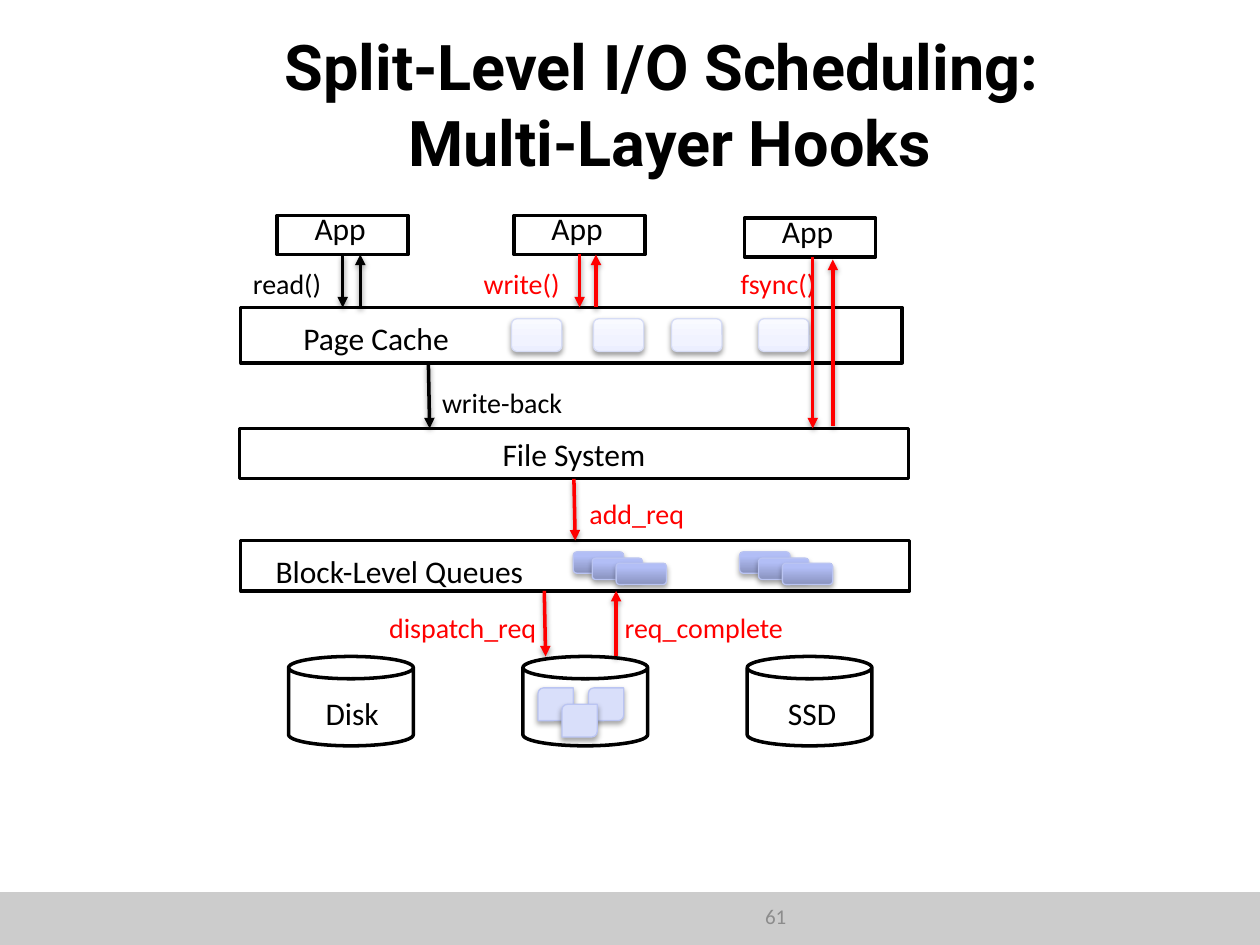
from pptx import Presentation
from pptx.dml.color import RGBColor
from pptx.enum.shapes import MSO_CONNECTOR, MSO_SHAPE
from pptx.enum.text import MSO_ANCHOR, MSO_AUTO_SIZE, PP_ALIGN
from pptx.oxml import parse_xml
from pptx.oxml.ns import nsdecls, qn
from pptx.util import Inches, Pt

BLACK, WHITE, RED = "000000", "FFFFFF", "FF0000"
BOTTOM, TOP = 2, 0
PAGE_GRADIENT = [(0, "ECEFFF"), (35, "F1F3FF"), (100, "F9FAFF")]
REQUEST_GRADIENT = [(0, "8992BE"), (80, "B2BEF6"), (100, "B2BEF9")]
SOFT_SHADOW = (38, 1.6)  # opacity in percent, distance in points
DEEP_SHADOW = (35, 1.8)


def color(value):
    return RGBColor.from_string(value)


class Diagram:
    """Holds the style and the slide being drawn."""

    font = "Calibri"
    label_size = 18
    call_size = 16
    line_width = 2

    def __init__(self, slide):
        self.slide = slide

    def title(self, text, left, top, width, height):
        shape = self.slide.shapes.title
        shape.left, shape.top = Inches(left), Inches(top)
        shape.width, shape.height = Inches(width), Inches(height)
        frame = shape.text_frame
        frame.text = text
        frame.auto_size = MSO_AUTO_SIZE.NONE
        frame.vertical_anchor = MSO_ANCHOR.MIDDLE
        paragraph = frame.paragraphs[0]
        paragraph.alignment = PP_ALIGN.CENTER
        self.format_font(paragraph.font, "Roboto", 36, BLACK)
        paragraph.font.bold = True

    def format_font(self, font, name, size, value):
        font.name, font.size = name, Pt(size)
        font.color.rgb = color(value)

    def text(self, text, left, top, width, height, size=label_size,
             value=BLACK, align=PP_ALIGN.CENTER):
        box = self.slide.shapes.add_textbox(
            Inches(left), Inches(top), Inches(width), Inches(height))
        box.text_frame.word_wrap = True
        paragraph = box.text_frame.paragraphs[0]
        paragraph.text = text
        paragraph.alignment = align
        self.format_font(paragraph.font, self.font, size, value)

    def call(self, text, left, top, width, value=RED):
        self.text(text, left, top, width, 0.36, self.call_size, value, PP_ALIGN.LEFT)

    def shape(self, kind, left, top, width, height, fill=WHITE, line=BLACK,
              weight=line_width, shadow=None):
        """Draw a preset shape; fill is one colour or a list of gradient stops."""
        shape = self.slide.shapes.add_shape(
            kind, Inches(left), Inches(top), Inches(width), Inches(height))
        if isinstance(fill, str):
            shape.fill.solid()
            shape.fill.fore_color.rgb = color(fill)
        else:
            self.gradient(shape, fill)
        if line:
            shape.line.color.rgb = color(line)
            shape.line.width = Pt(weight)
        else:
            shape.line.fill.background()
        shape.shadow.inherit = False
        if shadow:
            self.cast_shadow(shape.element.spPr.find(qn("a:effectLst")), *shadow)
        return shape

    def gradient(self, shape, stops):
        shape.fill.gradient()
        shape.fill.gradient_angle = 90
        stop_list = shape.element.spPr.find(qn("a:gradFill")).find(qn("a:gsLst"))
        for stop in list(stop_list):
            stop_list.remove(stop)
        for position, value in stops:
            stop_list.append(parse_xml(
                f'<a:gs {nsdecls("a")} pos="{position * 1000}">'
                f'<a:srgbClr val="{value}"/></a:gs>'))

    def cast_shadow(self, effects, opacity, distance):
        effects.append(parse_xml(
            f'<a:outerShdw {nsdecls("a")} blurRad="{Pt(3.1)}" dist="{Pt(distance)}" '
            f'dir="5400000" rotWithShape="0"><a:srgbClr val="{BLACK}">'
            f'<a:alpha val="{opacity * 1000}"/></a:srgbClr></a:outerShdw>'))

    def arrow(self, start, end, value=RED, source=None, target=None):
        """Draw an arrow, joined to the bottom of source and the top of target."""
        connector = self.slide.shapes.add_connector(
            MSO_CONNECTOR.STRAIGHT, *map(Inches, start + end))
        connector.line.color.rgb = color(value)
        connector.line.width = Pt(self.line_width)
        properties = connector.element.spPr
        properties.find(qn("a:ln")).append(
            parse_xml(f'<a:tailEnd {nsdecls("a")} type="triangle"/>'))
        effects = parse_xml(f'<a:effectLst {nsdecls("a")}/>')
        properties.append(effects)
        self.cast_shadow(effects, *SOFT_SHADOW)
        if source:
            connector.begin_connect(source, BOTTOM)
        if target:
            connector.end_connect(target, TOP)


def main():
    presentation = Presentation()
    presentation.slide_width, presentation.slide_height = Inches(10), Inches(7.5)
    slide = presentation.slides.add_slide(presentation.slide_layouts[5])
    diagram = Diagram(slide)

    # Footer band, title and page number
    diagram.shape(MSO_SHAPE.RECTANGLE, 0, 7.08, 10, 0.42, "CCCCCC", None)
    diagram.title("Split-Level I/O Scheduling: \vMulti-Layer Hooks", 1.06, 0.33, 8.51, 0.98)
    diagram.text("61", 4.01, 7.12, 2.33, 0.33, 12, "8C8C8C", PP_ALIGN.RIGHT)

    # Layers of the storage stack
    diagram.shape(MSO_SHAPE.RECTANGLE, 1.91, 2.44, 5.25, 0.44)
    diagram.text("Page Cache", 1.9, 2.48, 2.17, 0.32)
    file_system = diagram.shape(MSO_SHAPE.RECTANGLE, 1.9, 3.4, 5.31, 0.4)
    diagram.text("File System", 1.9, 3.4, 5.31, 0.25)
    block_queues = diagram.shape(MSO_SHAPE.RECTANGLE, 1.91, 4.29, 5.31, 0.4)
    diagram.text("Block-Level Queues", 1.93, 4.33, 2.48, 0.32)

    # Applications
    apps = []
    for left, top in ((2.2, 1.71), (4.08, 1.71), (5.91, 1.73)):
        apps.append(diagram.shape(MSO_SHAPE.RECTANGLE, left, top, 1.04, 0.31))
        diagram.text("App", left - 0.02, top - 0.1, 1.04, 0.23)
    reader, writer, _ = apps

    # Cached pages
    for left in (4.06, 4.71, 5.33, 6.02):
        diagram.shape(MSO_SHAPE.ROUNDED_RECTANGLE, left, 2.53, 0.4, 0.26,
                      PAGE_GRADIENT, "D6DCF5", 0.75, SOFT_SHADOW)

    # Queued requests, three overlapping in each queue
    for queue_left in (4.55, 5.87):
        for shift, top in ((0, 4.38), (0.15, 4.43), (0.34, 4.47)):
            diagram.shape(MSO_SHAPE.ROUNDED_RECTANGLE, queue_left + shift, top, 0.4, 0.17,
                          REQUEST_GRADIENT, "BAC4F2", 0.75, DEEP_SHADOW)

    # Devices and the blocks stored on the middle one
    for left in (2.29, 4.15, 5.93):
        diagram.shape(MSO_SHAPE.CAN, left, 5.21, 0.99, 0.71)
    diagram.text("Disk", 2.35, 5.46, 0.89, 0.32)
    diagram.text("SSD", 6, 5.46, 0.89, 0.32)
    for left, top in ((4.27, 5.46), (4.67, 5.46), (4.46, 5.59)):
        diagram.shape(MSO_SHAPE.ROUND_2_DIAG_RECTANGLE, left, top, 0.28, 0.26,
                      "D9DFFA", "BAC4F2", 0.75, DEEP_SHADOW)

    # Names of the calls between layers
    diagram.call("read()", 1.91, 2.07, 0.8, BLACK)
    diagram.call("write()", 3.74, 2.07, 0.9)
    diagram.call("fsync()", 5.78, 2.07, 0.81)
    diagram.call("write-back", 3.41, 3.01, 1.32, BLACK)
    diagram.call("add_req", 4.58, 3.89, 1.02)
    diagram.call("dispatch_req", 2.99, 4.8, 1.48)
    diagram.call("req_complete", 4.86, 4.8, 1.55)

    # Arrows going down, then the replies going up
    diagram.arrow((2.72, 2.02), (2.72, 2.44), BLACK, source=reader)
    diagram.arrow((4.6, 2.02), (4.6, 2.44), source=writer)
    diagram.arrow((6.45, 2.04), (6.45, 3.4))
    diagram.arrow((3.4, 2.89), (3.41, 3.4), BLACK)
    diagram.arrow((4.57, 3.8), (4.58, 4.29), source=file_system, target=block_queues)
    diagram.arrow((4.32, 4.69), (4.33, 5.21))
    diagram.arrow((2.86, 2.44), (2.86, 2.02), BLACK)
    diagram.arrow((4.73, 2.44), (4.73, 2.02))
    diagram.arrow((6.61, 3.38), (6.61, 2.06))
    diagram.arrow((4.89, 5.21), (4.89, 4.69))

    presentation.save("out.pptx")


if __name__ == "__main__":
    main()
